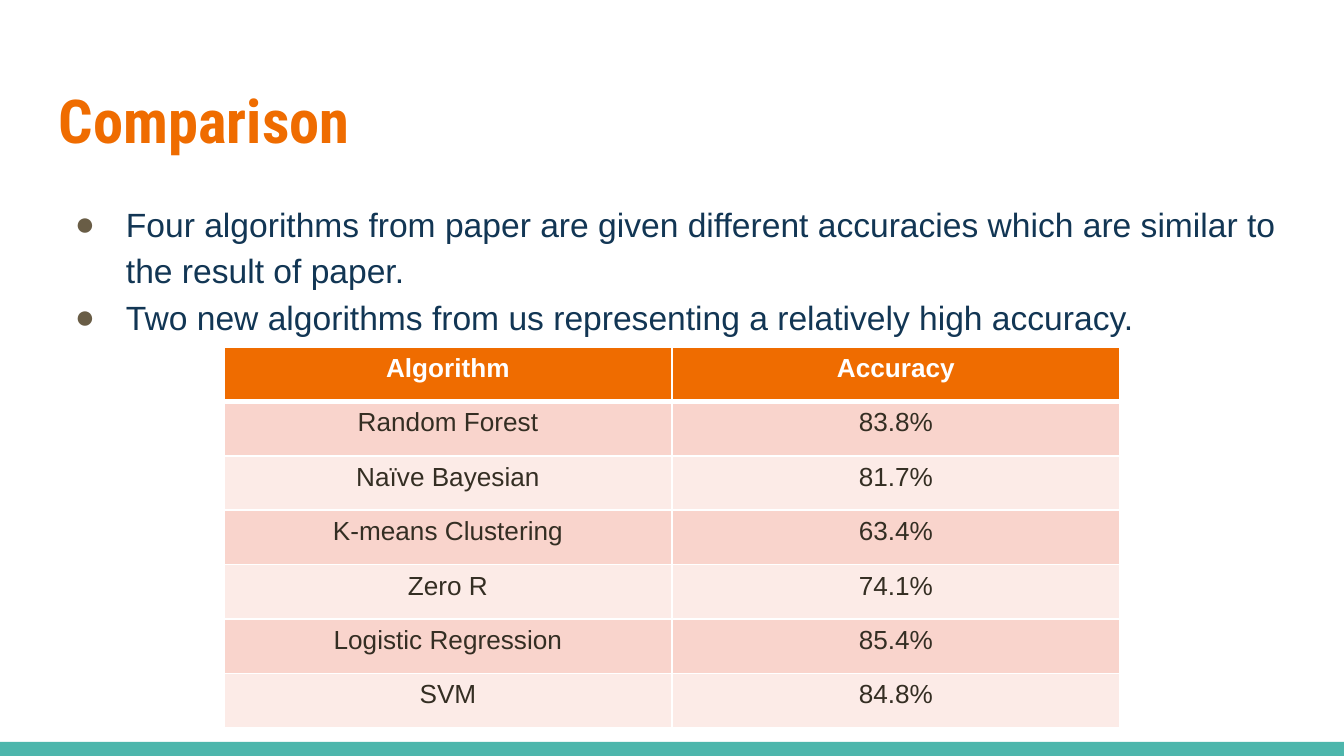
from dataclasses import dataclass

from lxml import etree
from pptx import Presentation
from pptx.dml.color import RGBColor
from pptx.enum.shapes import MSO_SHAPE
from pptx.enum.text import MSO_ANCHOR, PP_ALIGN
from pptx.oxml.ns import qn
from pptx.util import Pt

PX = 914400 / 134.4  # EMU in one px
SLIDE_W, SLIDE_H = 1344, 756
RECTANGLE = MSO_SHAPE.RECTANGLE
TOP, BOTTOM = MSO_ANCHOR.TOP, MSO_ANCHOR.BOTTOM
CENTER = PP_ALIGN.CENTER


@dataclass(frozen=True)
class Theme:
    orange: str = "EF6C00"
    teal: str = "4DB6AC"
    navy: str = "123654"
    brown: str = "342E23"
    bullet: str = "695D46"
    white: str = "FFFFFF"
    bands: tuple = ("F9D4CC", "FCEBE7")
    title_font: str = "Roboto Condensed"
    body_font: str = "Arial"
    title_size: float = 32.4
    body_size: float = 18
    cell_size: float = 14


THEME = Theme()
TITLE = "Comparison"
FINDINGS = [
    "Four algorithms from paper are given different accuracies which are "
    "similar to the result of paper.",
    "Two new algorithms from us representing a relatively high accuracy.",
]
RESULTS = [
    ("Algorithm", "Accuracy"),
    ("Random Forest", "83.8%"),
    ("Naïve Bayesian", "81.7%"),
    ("K-means Clustering", "63.4%"),
    ("Zero R", "74.1%"),
    ("Logistic Regression", "85.4%"),
    ("SVM", "84.8%"),
]


def emu(px):
    return round(px * PX)


def place(box):
    return [emu(length) for length in box]


def style(paragraph, font_name, size, color, bold=False):
    for run in paragraph.runs:
        run.font.name = font_name
        run.font.size = Pt(size)
        run.font.bold = bold
        run.font.color.rgb = RGBColor.from_string(color)


def add_text_frame(slide, box, anchor):
    frame = slide.shapes.add_textbox(*place(box)).text_frame
    frame.word_wrap = True
    frame.vertical_anchor = anchor
    frame.margin_left = frame.margin_right = emu(13)
    frame.margin_top = frame.margin_bottom = emu(13)
    return frame


def add_bullet(paragraph, indent, hanging):
    properties = paragraph._p.get_or_add_pPr()
    properties.set("marL", str(emu(indent)))
    properties.set("indent", str(-emu(hanging)))
    color = etree.SubElement(properties, qn("a:buClr"))
    etree.SubElement(color, qn("a:srgbClr"), val=THEME.bullet)
    etree.SubElement(properties, qn("a:buFont"), typeface=THEME.body_font)
    etree.SubElement(properties, qn("a:buChar"), char="●")


def border_cell(cell, widths):
    properties = cell._tc.get_or_add_tcPr()
    # Border lines come before the fill in the cell properties
    for position, (side, width) in enumerate(widths.items()):
        line = etree.Element(qn(f"a:{side}"), w=str(Pt(width)))
        fill = etree.SubElement(line, qn("a:solidFill"))
        etree.SubElement(fill, qn("a:srgbClr"), val=THEME.white)
        properties.insert(position, line)


def add_footer_bar(slide, box):
    bar = slide.shapes.add_shape(RECTANGLE, *place(box))
    bar.shadow.inherit = False
    bar.fill.solid()
    bar.fill.fore_color.rgb = RGBColor.from_string(THEME.teal)
    bar.line.fill.background()


def add_title(slide, box):
    frame = add_text_frame(slide, box, BOTTOM)
    frame.text = TITLE
    style(frame.paragraphs[0], THEME.title_font, THEME.title_size,
          THEME.orange, bold=True)


def add_findings(slide, box):
    frame = add_text_frame(slide, box, TOP)
    frame.text = "\n".join(FINDINGS)
    for finding in frame.paragraphs:
        finding.line_spacing = 1.15
        add_bullet(finding, indent=67, hanging=51)
        style(finding, THEME.body_font, THEME.body_size, THEME.navy)


def add_results(slide, box):
    row_count, column_count = len(RESULTS), len(RESULTS[0])
    table = slide.shapes.add_table(row_count, column_count, *place(box)).table
    for row in table.rows:
        row.height = emu(box[3] / row_count)
    for r, values in enumerate(RESULTS):
        header = r == 0
        background = THEME.orange if header else THEME.bands[(r - 1) % 2]
        widths = {"lnL": 1, "lnR": 1,
                  "lnT": 3 if r == 1 else 1, "lnB": 3 if header else 1}
        for c, value in enumerate(values):
            cell = table.cell(r, c)
            cell.text = value
            cell.fill.solid()
            cell.fill.fore_color.rgb = RGBColor.from_string(background)
            border_cell(cell, widths)
            label = cell.text_frame.paragraphs[0]
            label.alignment = CENTER
            style(label, THEME.body_font, THEME.cell_size,
                  THEME.white if header else THEME.brown, bold=header)


def add_comparison_slide(presentation):
    slide = presentation.slides.add_slide(presentation.slide_layouts[6])
    add_footer_bar(slide, (0, 742, SLIDE_W, 14))
    add_title(slide, (46, 66, 1252, 103))
    add_results(slide, (224, 347, 896, 381))
    add_findings(slide, (46, 185, 1252, 485))


def main():
    presentation = Presentation()
    presentation.slide_width = emu(SLIDE_W)
    presentation.slide_height = emu(SLIDE_H)
    add_comparison_slide(presentation)
    presentation.save("out.pptx")


if __name__ == "__main__":
    main()
